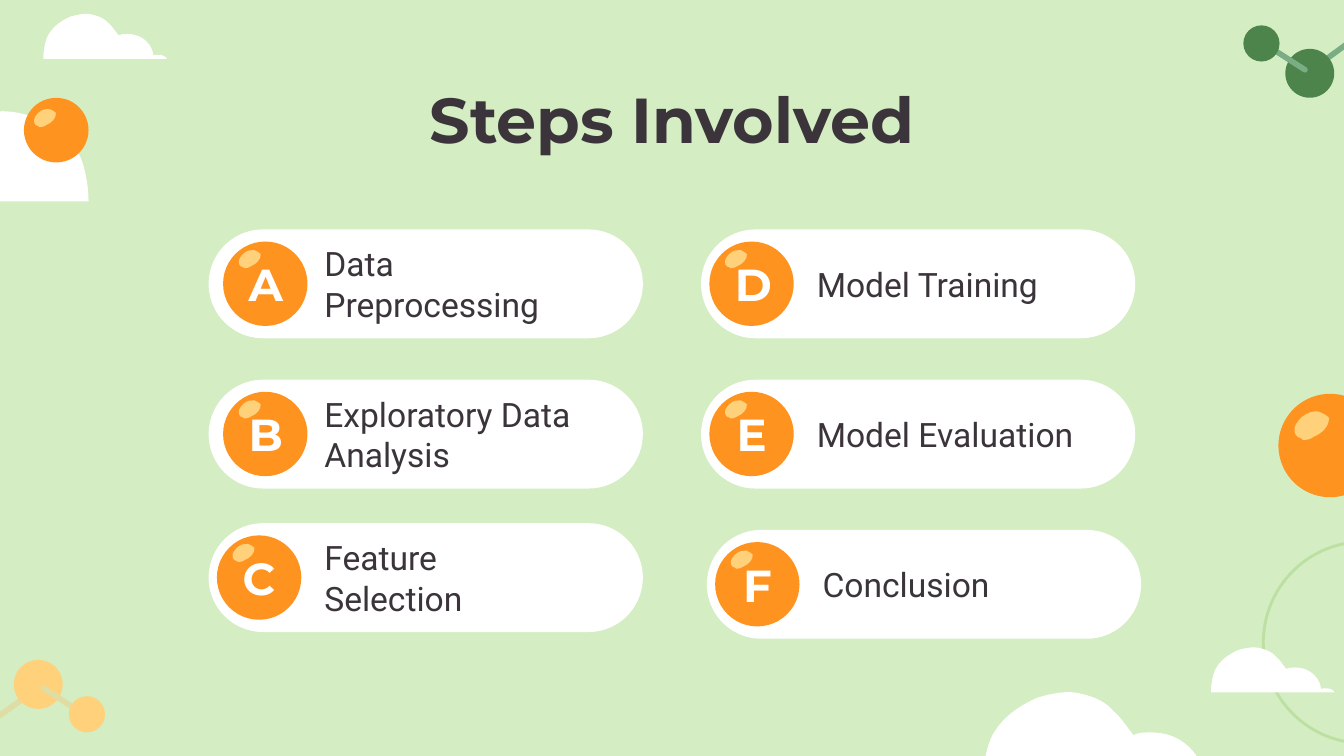
from lxml.etree import SubElement
from pptx import Presentation
from pptx.dml.color import RGBColor
from pptx.enum.shapes import MSO_CONNECTOR, MSO_SHAPE
from pptx.enum.text import MSO_ANCHOR, MSO_AUTO_SIZE, PP_ALIGN
from pptx.oxml.ns import qn
from pptx.util import Pt

COLORS = {
    "background": "D4EDC2",
    "ring": "BBE0A1",
    "white": "FFFFFF",
    "ball": "FF9320",
    "gloss": "FFD17A",
    "pale_bond": "DFDDA3",
    "green_atom": "4C844B",
    "green_bond": "7AAD83",
    "ink": "3B343B",
}

CLOUD_START = (64, 0)
CLOUD_SEGMENTS = [
    ((56, 0), (48, 2), (41, 4)),
    ((27, 10), (16, 18), (9, 29)),
    ((3, 37), (0, 55), (0, 67)),
    ((184, 67),),
    ((182, 63), (177, 61), (171, 61)),
    ((169, 61), (166, 61), (164, 62)),
    ((163, 52), (157, 42), (147, 36)),
    ((141, 32), (133, 30), (125, 30)),
    ((120, 30), (116, 30), (112, 32)),
    ((107, 26), (103, 19), (97, 14)),
    ((92, 8), (84, 4), (76, 2)),
    ((72, 1), (68, 0), (64, 0)),
]
GLOSS_START = (17, 0)
GLOSS_SEGMENTS = [
    ((15, 0), (13, 0), (11, 1)),
    ((6, 3), (3, 7), (1, 11)),
    ((0, 13), (0, 16), (1, 18)),
    ((2, 20), (4, 21), (6, 21)),
    ((7, 22), (7, 22), (7, 22)),
    ((10, 22), (13, 21), (15, 19)),
    ((21, 16), (26, 10), (25, 4)),
    ((23, 2), (20, 1), (17, 0)),
]

CARD_WIDTH, CARD_HEIGHT = 232.6, 58.3
FIRST_ROW, ROW_PITCH = 122.9, 80.5
STEP_BALL = 45.2


def rgb(name):
    return RGBColor.from_string(COLORS[name])


def paint(shape, color):
    shape.shadow.inherit = False
    shape.fill.solid()
    shape.fill.fore_color.rgb = rgb(color)
    shape.line.fill.background()


def write(frame, words, font, size, color, bold=False,
          align=PP_ALIGN.LEFT, anchor=MSO_ANCHOR.MIDDLE):
    frame.word_wrap = True
    frame.auto_size = MSO_AUTO_SIZE.NONE
    frame.vertical_anchor = anchor
    frame.margin_left = frame.margin_right = Pt(7.2)
    frame.margin_top = frame.margin_bottom = Pt(7.2)
    paragraph = frame.paragraphs[0]
    paragraph.alignment = align
    run = paragraph.add_run()
    run.text = words
    run.font.name = font
    run.font.size = Pt(size)
    run.font.bold = bold
    run.font.color.rgb = rgb(color)


def add_outline(shapes, start, segments, left, top, scale, color, mirror=1):
    def place(point):
        return Pt(left + mirror * scale * point[0]), Pt(top + scale * point[1])

    builder = shapes.build_freeform(*place(start))
    builder.add_line_segments([place(segment[-1]) for segment in segments], close=True)
    outline = builder.convert_to_shape()
    paint(outline, color)
    edges = list(outline._element.iter(qn("a:lnTo")))
    for edge, segment in zip(edges, segments):
        if len(segment) == 3:
            curve = edge.makeelement(qn("a:cubicBezTo"))
            for x, y in map(place, segment):
                SubElement(curve, qn("a:pt"), x=str(x - outline.left), y=str(y - outline.top))
            edge.getparent().replace(edge, curve)
    return outline


def add_cloud(shapes, left, top, scale, mirror=1):
    add_outline(shapes, CLOUD_START, CLOUD_SEGMENTS, left, top, scale, "white", mirror)


def add_disc(shapes, left, top, size, color):
    disc = shapes.add_shape(MSO_SHAPE.OVAL, Pt(left), Pt(top), Pt(size), Pt(size))
    paint(disc, color)
    return disc


def add_ball(shapes, left, top, size, gloss_x, gloss_y, gloss_scale, letter=None):
    parts = shapes.add_group_shape().shapes
    disc = add_disc(parts, left, top, size, "ball")
    if letter:
        write(disc.text_frame, letter, "Montserrat", 24, "white", True, PP_ALIGN.CENTER)
    gloss = add_outline(parts, GLOSS_START, GLOSS_SEGMENTS, left + gloss_x,
                        top + gloss_y, gloss_scale, "gloss")
    gloss.rotation = 5


def add_bond(shapes, start, end, color):
    bond = shapes.add_connector(MSO_CONNECTOR.STRAIGHT, *map(Pt, start + end))
    bond.line.color.rgb = rgb(color)
    bond.line.width = Pt(3)
    bond.line._get_or_add_ln().set("cap", "rnd")
    SubElement(bond._element.spPr, qn("a:effectLst"))


def add_molecule(shapes, bonds, atoms, bond_color, atom_color):
    parts = shapes.add_group_shape().shapes
    for (start, end), (left, top, size) in zip(bonds, atoms):
        add_bond(parts, start, end, bond_color)
        add_disc(parts, left, top, size, atom_color)


def add_ring(shapes, left, top, size):
    ring = shapes.add_shape(MSO_SHAPE.OVAL, Pt(left), Pt(top), Pt(size), Pt(size))
    ring.shadow.inherit = False
    ring.fill.background()
    ring.line.color.rgb = rgb("ring")
    ring.line.width = Pt(1.5)


def add_step(shapes, left, top, ball_inset, letter, words):
    card = shapes.add_shape(MSO_SHAPE.ROUNDED_RECTANGLE, Pt(left), Pt(top),
                            Pt(CARD_WIDTH), Pt(CARD_HEIGHT))
    card.adjustments[0] = 0.5
    paint(card, "white")
    label = shapes.add_textbox(Pt(left + 54.9), Pt(top + 11.1), Pt(152.4), Pt(36))
    write(label.text_frame, words, "Roboto", 18, "ink")
    add_ball(shapes, left + ball_inset, top + 6.5, STEP_BALL, 8.4, 4.4, 0.46, letter)


def add_scenery(shapes):
    add_ring(shapes, 676.8, 290.2, 108)
    add_cloud(shapes, 23.2, 7.4, 0.36)
    add_cloud(shapes, 47.4, 59.6, 0.72, mirror=-1)
    add_cloud(shapes, 648.7, 346.8, 0.36)
    add_cloud(shapes, 526.6, 370.8, 0.72)
    add_ball(shapes, 684.9, 211, 55.4, 8.6, 9.2, 0.72)
    add_ball(shapes, 12.8, 52.4, 34.6, 5.4, 5.8, 0.46)
    add_molecule(shapes,
                 [((-10, 390.2), (22.5, 367.2)), ((43.2, 381.6), (23.2, 368.6))],
                 [(7.4, 353.6, 26.2), (36.9, 373, 19.4)], "pale_bond", "gloss")
    add_molecule(shapes,
                 [((732.2, 15.8), (700.6, 38.9)), ((679, 24.5), (699.1, 37.4))],
                 [(688.6, 26.2, 26.2), (666.1, 13.6, 19.4)], "green_bond", "green_atom")


def main():
    deck = Presentation()
    deck.slide_width, deck.slide_height = Pt(720), Pt(405)
    slide = deck.slides.add_slide(deck.slide_layouts[5])
    slide.background.fill.solid()
    slide.background.fill.fore_color.rgb = rgb("background")
    add_scenery(slide.shapes)

    title = slide.shapes.title
    title.left, title.top, title.width, title.height = map(Pt, (56.9, 35.6, 606.2, 45.4))
    write(title.text_frame, "Steps Involved", "Montserrat", 34, "ink", True,
          PP_ALIGN.CENTER, MSO_ANCHOR.TOP)

    second_row, third_row = FIRST_ROW + ROW_PITCH, FIRST_ROW + 2 * ROW_PITCH
    for step in [
        (111.8, FIRST_ROW, 7.7, "A", "Data Preprocessing"),
        (111.8, second_row, 7.7, "B", "Exploratory Data Analysis"),
        (111.8, third_row - 3.6, 4.4, "C", "Feature Selection"),
        (375.6, FIRST_ROW, 4.4, "D", "Model Training"),
        (375.6, second_row, 4.4, "E", "Model Evaluation"),
        (378.7, third_row, 4.4, "F", "Conclusion"),
    ]:
        add_step(slide.shapes, *step)
    deck.save("out.pptx")


if __name__ == "__main__":
    main()
